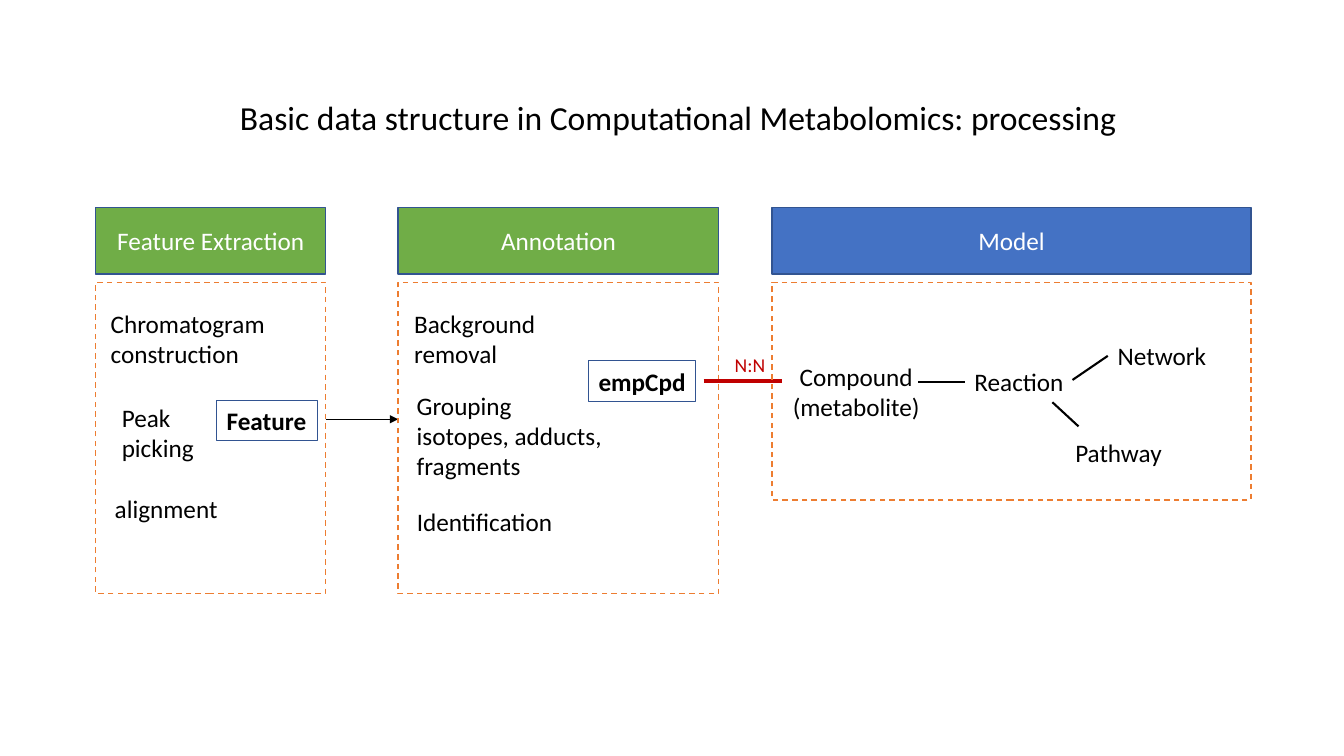
from dataclasses import dataclass

from lxml import etree
from pptx import Presentation
from pptx import util as u
from pptx.dml.color import RGBColor
from pptx.enum import dml, shapes, text
from pptx.oxml import ns


@dataclass(frozen=True)
class Theme:
    font: str = "Calibri"
    title_size: float = 24
    body_size: float = 18
    note_size: float = 14
    black: str = "000000"
    white: str = "FFFFFF"
    green: str = "70AD47"
    blue: str = "4472C4"
    outline: str = "325491"
    orange: str = "ED7D31"
    red: str = "C00000"


@dataclass(frozen=True)
class Box:
    left: float
    top: float
    width: float
    height: float

    def inner(self, left, top, width, height):
        return Box(self.left + left, self.top + top, width, height)

    def lengths(self):
        return [u.Pt(n) for n in (self.left, self.top, self.width, self.height)]


THEME = Theme()
HEADER_HEIGHT = 47.5
FRAME_TOP = 53.3
LINE_HEIGHT = 21.6
INSETS = 7.2
LEFT, CENTER = text.PP_ALIGN.LEFT, text.PP_ALIGN.CENTER
TOP, MIDDLE = text.MSO_ANCHOR.TOP, text.MSO_ANCHOR.MIDDLE


def write(shape, lines, size=THEME.body_size, color=THEME.black, bold=False,
          align=LEFT, anchor=TOP, wrap=False):
    frame = shape.text_frame
    frame.word_wrap = wrap
    frame.auto_size = text.MSO_AUTO_SIZE.NONE
    frame.vertical_anchor = anchor
    paragraph = frame.paragraphs[0]
    paragraph.alignment = align
    for index, line in enumerate(lines):
        if index:
            paragraph.add_line_break()
        run = paragraph.add_run()
        run.text = line
        run.font.name = THEME.font
        run.font.size = u.Pt(size)
        run.font.bold = bold
        run.font.color.rgb = RGBColor.from_string(color)


def add_rectangle(slide, box, line, width=1, fill=None, dashed=False):
    shape = slide.shapes.add_shape(shapes.MSO_SHAPE.RECTANGLE, *box.lengths())
    shape.shadow.inherit = False
    if fill:
        shape.fill.solid()
        shape.fill.fore_color.rgb = RGBColor.from_string(fill)
    else:
        shape.fill.background()
    shape.line.color.rgb = RGBColor.from_string(line)
    shape.line.width = u.Pt(width)
    if dashed:
        shape.line.dash_style = dml.MSO_LINE.DASH
    return shape


def add_label(slide, panel, left, top, width, *lines, size=THEME.body_size, **style):
    height = len(lines) * LINE_HEIGHT * size / THEME.body_size + INSETS
    box = panel.inner(left, top, width, height)
    write(slide.shapes.add_textbox(*box.lengths()), lines, size=size, **style)


def add_tag(slide, panel, left, top, width, name):
    box = panel.inner(left, top, width, LINE_HEIGHT + INSETS)
    shape = add_rectangle(slide, box, THEME.outline, 0.75)
    write(shape, [name], bold=True)


def add_link(slide, panel, start, end, color=THEME.black, width=1.5, arrow=False):
    points = [u.Pt(n) for x, y in (start, end) for n in (panel.left + x, panel.top + y)]
    connector = slide.shapes.add_connector(shapes.MSO_CONNECTOR.STRAIGHT, *points)
    connector.line.color.rgb = RGBColor.from_string(color)
    connector.line.width = u.Pt(width)
    if arrow:
        etree.SubElement(connector.line._get_or_add_ln(), ns.qn("a:tailEnd"), type="triangle")
    etree.SubElement(connector._element.spPr, ns.qn("a:effectLst"))


def add_panel(slide, panel, name, fill):
    header = add_rectangle(slide, panel.inner(0, 0, panel.width, HEADER_HEIGHT),
                           THEME.outline, fill=fill)
    write(header, [name], color=THEME.white, align=CENTER, anchor=MIDDLE, wrap=True)
    frame = panel.inner(0, FRAME_TOP, panel.width, panel.height - FRAME_TOP)
    add_rectangle(slide, frame, THEME.orange, dashed=True)


def add_title(slide, box):
    title = slide.shapes.title
    title.left, title.top, title.width, title.height = box.lengths()
    write(title, ["Basic data structure in Computational Metabolomics: processing"],
          size=THEME.title_size)


def add_feature_extraction(slide, panel):
    add_panel(slide, panel, "Feature Extraction", THEME.green)
    add_label(slide, panel, 3.6, 68.4, 129.6, "Chromatogram ", "construction")
    add_label(slide, panel, 11.5, 135.4, 66, "Peak", "picking")
    add_label(slide, panel, 6.5, 200.2, 88.6, "alignment")
    add_tag(slide, panel, 86.4, 137.5, 72, "Feature")
    add_link(slide, panel, (panel.width, 151.2), (216, 151.2), width=1, arrow=True)


def add_annotation(slide, panel):
    add_panel(slide, panel, "Annotation", THEME.green)
    add_label(slide, panel, 4.3, 68.4, 102, "Background", "removal")
    add_label(slide, panel, 6.2, 126.7, 153, "Grouping", "isotopes, adducts, ", "fragments")
    add_label(slide, panel, 6.2, 209.5, 112, "Identification")
    add_tag(slide, panel, 136.1, 109.5, 76.3, "empCpd")
    add_link(slide, panel, (218.2, 123.9), (274.3, 123.9), THEME.red, 2.75)
    add_label(slide, panel, 233.3, 100.1, 36.7, "N:N",
              size=THEME.note_size, color=THEME.red)


def add_model(slide, panel):
    add_panel(slide, panel, "Model", THEME.blue)
    add_label(slide, panel, 7.2, 105.9, 105.8, "Compound", "(metabolite)", align=CENTER)
    add_label(slide, panel, 137.5, 109.5, 79.2, "Reaction")
    add_label(slide, panel, 239.8, 91.5, 78.5, "Network")
    add_label(slide, panel, 209.5, 160.6, 77, "Pathway")
    add_link(slide, panel, (104.4, 124.6), (137.5, 124.6))
    add_link(slide, panel, (214.6, 123.1), (239.8, 105.9))
    add_link(slide, panel, (200.2, 139), (218.9, 156.3))


presentation = Presentation()
presentation.slide_width = u.Pt(960)
presentation.slide_height = u.Pt(540)
slide = presentation.slides.add_slide(presentation.slide_layouts[5])
add_title(slide, Box(164.2, 65.5, 645.8, 36))
add_feature_extraction(slide, Box(68.4, 148.3, 164.2, 275.8))
add_annotation(slide, Box(284.4, 148.3, 229, 275.8))
add_model(slide, Box(551.5, 148.3, 342, 208.8))
presentation.save("out.pptx")
